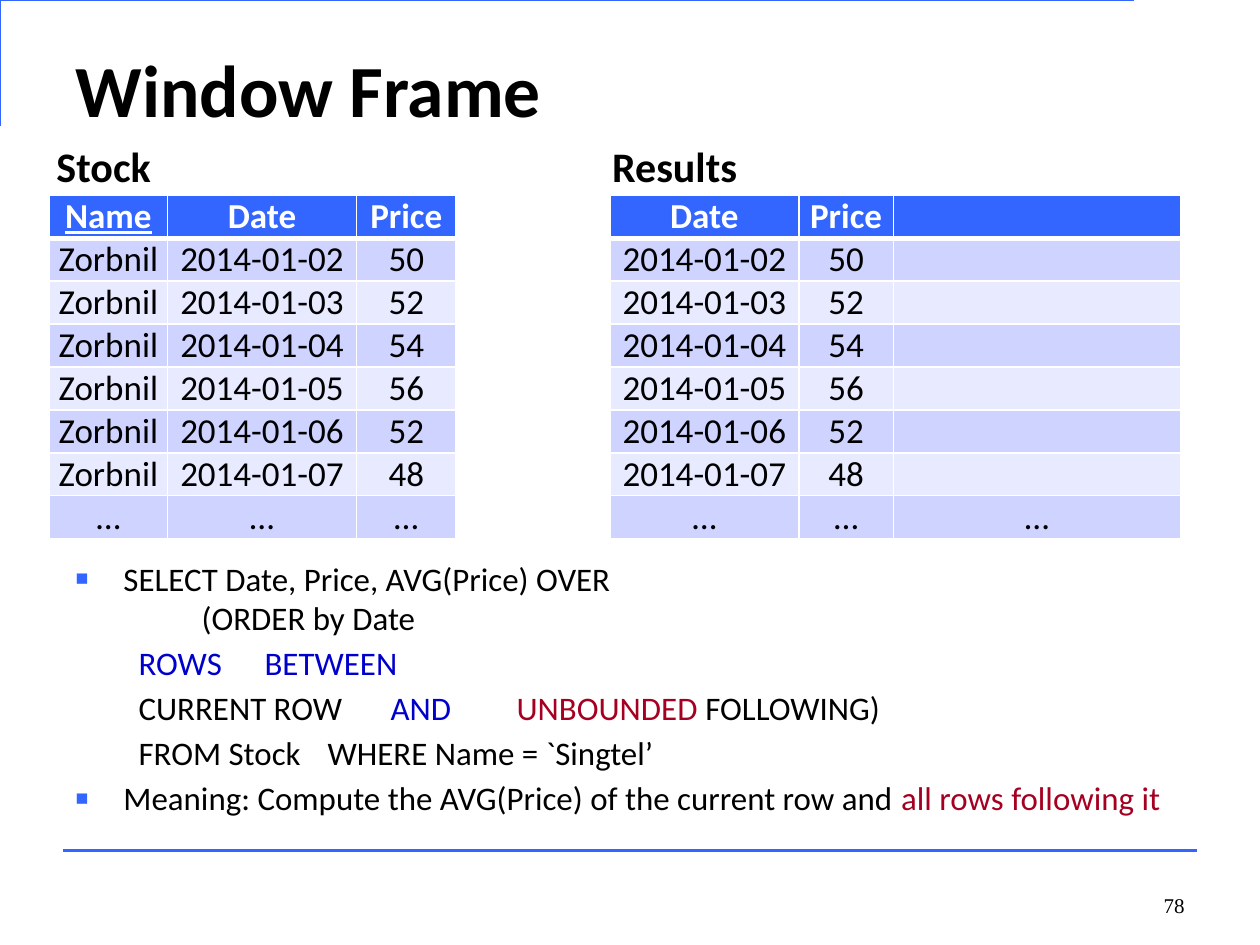
import pptx
import pptx.dml.color
import pptx.enum.shapes
import pptx.enum.text
import pptx.util
from lxml import etree
from pptx.oxml.ns import qn

Inches = pptx.util.Inches
Pt = pptx.util.Pt
ALIGN = pptx.enum.text.PP_ALIGN
ANCHOR = pptx.enum.text.MSO_ANCHOR

COLORS = {
    "blue": "3366FF",
    "keyword": "0000CC",
    "red": "A50021",
    "black": "000000",
    "white": "FFFFFF",
    "dark band": "CED3FF",
    "light band": "E8EAFF",
}
DATES = [f"2014-01-{day:02}" for day in range(2, 8)] + ["…"]
PRICES = ["50", "52", "54", "56", "52", "48", "…"]


def rgb(name):
    return pptx.dml.color.RGBColor.from_string(COLORS[name])


def add_element(parent, tag, **attributes):
    element = etree.SubElement(parent, qn(tag))
    for name, value in attributes.items():
        element.set(name, str(value))
    return element


class SlideBuilder:
    font = "Calibri"
    line_width = Pt(1.5)

    def __init__(self, slide):
        self.slide = slide

    def run(self, paragraph, text, size, color="black", bold=False,
            underline=False, font=None):
        run = paragraph.add_run()
        run.text = text
        run.font.name = font or self.font
        run.font.size = Pt(size)
        run.font.bold = bold
        run.font.underline = underline
        run.font.color.rgb = rgb(color)

    def place(self, shape, left, top, width, height):
        shape.left, shape.top = Inches(left), Inches(top)
        shape.width, shape.height = Inches(width), Inches(height)
        frame = shape.text_frame
        frame.word_wrap = True
        frame.auto_size = pptx.enum.text.MSO_AUTO_SIZE.NONE
        frame.vertical_anchor = ANCHOR.TOP
        return frame

    def corner(self, points):
        """Open outline through the given points."""
        builder = self.slide.shapes.build_freeform(*points[0], scale=Inches(1))
        builder.add_line_segments(points[1:], close=False)
        shape = builder.convert_to_shape()
        shape.shadow.inherit = False
        shape.fill.background()
        shape.line.color.rgb = rgb("blue")
        shape.line.width = self.line_width

    def rule(self, left, right, y):
        connector = self.slide.shapes.add_connector(
            pptx.enum.shapes.MSO_CONNECTOR.STRAIGHT,
            Inches(left), Inches(y), Inches(right), Inches(y))
        connector.line.color.rgb = rgb("blue")
        connector.line.width = self.line_width
        add_element(connector._element.spPr, "a:effectLst")

    def title(self, text, *box):
        frame = self.place(self.slide.shapes.title, *box)
        paragraph = frame.paragraphs[0]
        paragraph.alignment = ALIGN.LEFT
        self.run(paragraph, text, 42, bold=True)

    def body(self, paragraphs, *box):
        """Each paragraph is (bulleted, tab stops, lines); a line is a list of runs."""
        frame = self.place(self.slide.placeholders[1], *box)
        for index, (bulleted, tabs, lines) in enumerate(paragraphs):
            paragraph = frame.add_paragraph() if index else frame.paragraphs[0]
            self.list_format(paragraph, bulleted, tabs)
            paragraph.space_before = Pt(3.2 if index else 0)
            for number, line in enumerate(lines):
                if number:
                    paragraph.add_line_break()
                for text, color in line:
                    self.run(paragraph, text, 18.8, color)

    def list_format(self, paragraph, bulleted, tabs):
        properties = paragraph._p.get_or_add_pPr()
        indent = Inches(0.38) if bulleted else 0
        properties.set("marL", str(indent))
        properties.set("indent", str(-indent))
        if bulleted:
            bullet_color = add_element(properties, "a:buClr")
            add_element(bullet_color, "a:srgbClr", val=COLORS["blue"])
            add_element(properties, "a:buSzPct", val=65000)
            add_element(properties, "a:buChar", char="■")
        else:
            add_element(properties, "a:buNone")
        if tabs:
            tab_list = add_element(properties, "a:tabLst")
            for position in tabs:
                add_element(tab_list, "a:tab", pos=Inches(position), algn="l")

    def text(self, text, *box, size=24, bold=True, font=None,
             align=ALIGN.LEFT, anchor=ANCHOR.TOP):
        shape = self.slide.shapes.add_textbox(0, 0, 0, 0)
        frame = self.place(shape, *box)
        frame.vertical_anchor = anchor
        paragraph = frame.paragraphs[0]
        paragraph.alignment = align
        self.run(paragraph, text, size, bold=bold, font=font)

    def table(self, rows, left, top, widths, row_height, key=None):
        """Banded table whose key column has an underlined heading."""
        table = self.slide.shapes.add_table(
            len(rows), len(widths), Inches(left), Inches(top),
            Inches(sum(widths)), Inches(row_height * len(rows))).table
        for column, width in zip(table.columns, widths):
            column.width = Inches(width)
        for row_index, row in enumerate(rows):
            table.rows[row_index].height = Inches(row_height)
            for column_index, text in enumerate(row):
                self.cell(table.cell(row_index, column_index), text, row_index,
                          key is not None and text == key)

    def cell(self, cell, text, row_index, underline):
        header = row_index == 0
        cell.margin_left = cell.margin_right = 0
        cell.margin_top = cell.margin_bottom = 0
        cell.vertical_anchor = ANCHOR.MIDDLE
        properties = cell._tc.get_or_add_tcPr()
        top_width = 3 if row_index == 1 else 1
        bottom_width = 3 if header else 1
        for side, width in zip("LRTB", (1, 1, top_width, bottom_width)):
            border = add_element(properties, f"a:ln{side}", w=Pt(width))
            fill = add_element(border, "a:solidFill")
            add_element(fill, "a:srgbClr", val=COLORS["white"])
        band = "dark band" if row_index % 2 else "light band"
        cell.fill.solid()
        cell.fill.fore_color.rgb = rgb("blue" if header else band)
        paragraph = cell.text_frame.paragraphs[0]
        paragraph.alignment = ALIGN.CENTER
        if text:
            self.run(paragraph, text, 20, "white" if header else "black",
                     bold=header, underline=underline)


def main():
    presentation = pptx.Presentation()
    presentation.slide_width = Inches(10)
    presentation.slide_height = Inches(7.5)
    builder = SlideBuilder(
        presentation.slides.add_slide(presentation.slide_layouts[1]))

    builder.corner([(0.42, 0.92), (0.42, 0.25), (9.42, 0.25)])
    builder.rule(0.5, 9.5, 6.75)
    builder.title("Window Frame", 0.5, 0.3, 9, 1.25)
    builder.body([
        (True, [1], [[("SELECT Date, Price, AVG(Price) OVER ", "black")],
                     [("\t(ORDER by Date", "black")]]),
        (False, [1.12, 2], [[("\tROWS \tBETWEEN", "keyword")]]),
        (False, [2, 4.11, 5.06], [[("\tCURRENT ROW \t", "black"),
                                   ("AND \t", "keyword"),
                                   ("UNBOUNDED", "red"),
                                   (" FOLLOWING)", "black")]]),
        (False, [1, 3], [[("\tFROM Stock\tWHERE Name = `Singtel’", "black")]]),
        (True, [], [[("Meaning: Compute the AVG(Price) of the current row and ",
                      "black"), ("all rows following it", "red")]]),
    ], 0.5, 4.38, 9, 2.32)
    builder.text("78", 7.17, 6.83, 2.33, 0.5, size=12, bold=False,
                 font="Times New Roman", align=ALIGN.RIGHT, anchor=ANCHOR.BOTTOM)

    names = ["Zorbnil"] * 6 + ["…"]
    blanks = [""] * 6 + ["…"]
    builder.table([("Name", "Date", "Price"), *zip(names, DATES, PRICES)],
                  0.39, 1.55, [0.94, 1.5, 0.79], 0.34, key="Name")
    builder.text("Stock", 0.35, 1.07, 1.37, 0.5)
    builder.table([("Date", "Price", ""), *zip(DATES, PRICES, blanks)],
                  4.84, 1.55, [1.5, 0.75, 2.28], 0.33)
    builder.text("Results", 4.76, 1.07, 1.37, 0.5)

    presentation.save("out.pptx")


if __name__ == "__main__":
    main()
